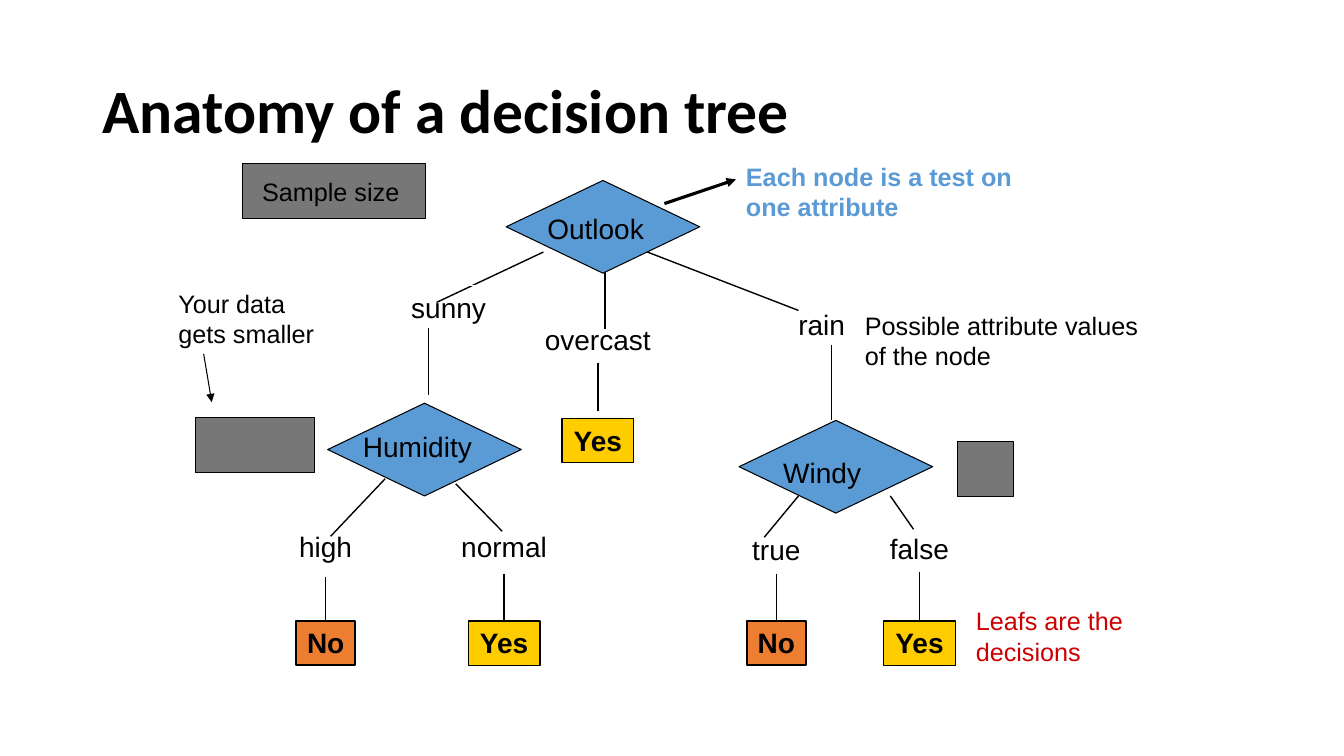
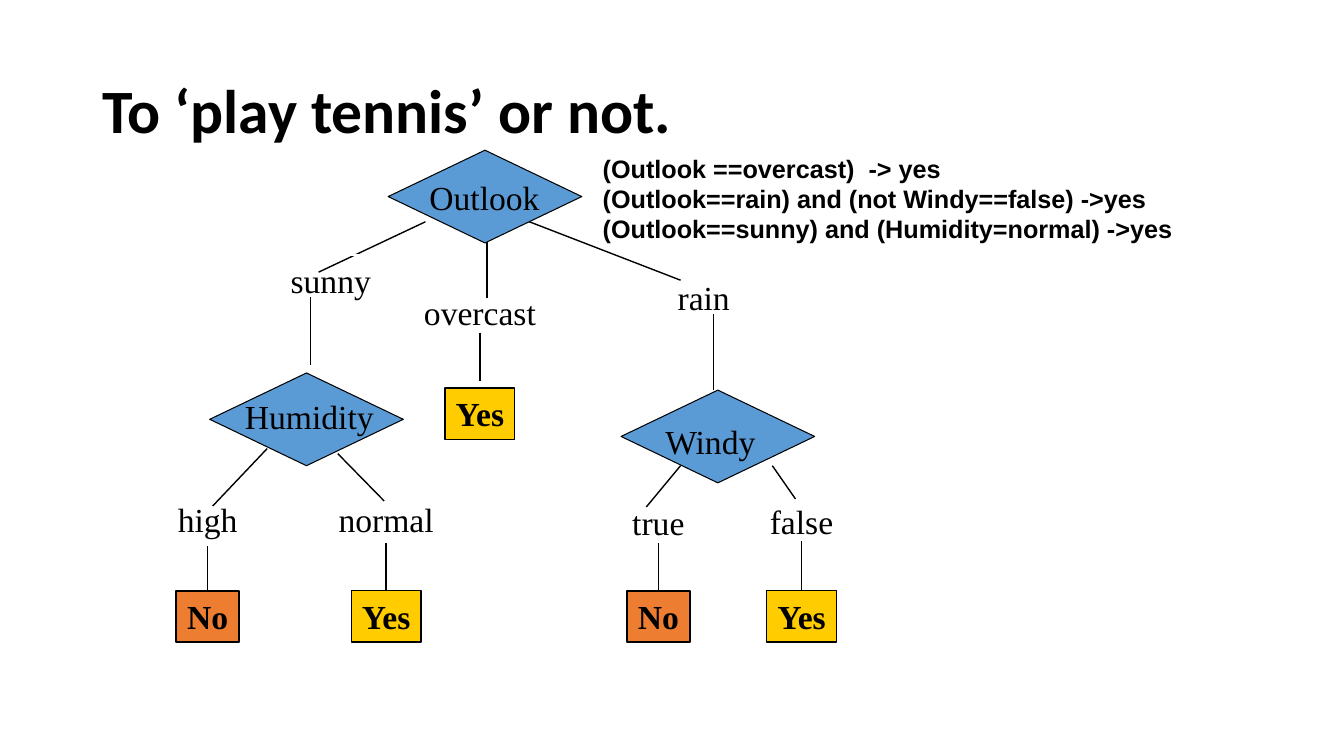
"""Build two slides that draw the same decision tree in two styles."""
from dataclasses import dataclass
from typing import NamedTuple, Optional

from lxml import etree
from pptx import Presentation
from pptx import util as u
from pptx.dml.color import RGBColor
from pptx.enum import shapes, text as t
from pptx.oxml import ns
from pptx.slide import Slide

COLORS = {
    "black": "000000", "white": "FFFFFF", "node": "5B9BD5", "sample": "777777",
    "no": "ED7D31", "yes": "FFCC00", "decision": "CC0000",
}
RECTANGLE = shapes.MSO_SHAPE.RECTANGLE
NODE_SIZE = (1.92, 0.92)


class Box(NamedTuple):
    left: float
    top: float
    width: float
    height: float


class Line(NamedTuple):
    x1: float
    y1: float
    x2: float
    y2: float


class Label(NamedTuple):
    text: str
    center: float
    top: float
    widths: tuple[float, float]
    outlined: bool = False


class Leaf(NamedTuple):
    answer: str
    center: float
    top: float


class Node(NamedTuple):
    text: str
    left: float
    top: float
    text_left: float
    text_middle: float
    widths: tuple[float, float]


@dataclass(frozen=True)
class TreeStyle:
    variant: int
    font: str
    size: int
    dx: float
    dy: float
    label_height: float
    node_text_height: float
    leaf_widths: dict[str, float]


BRANCHES = [
    Line(5.39, 2.5, 4.33, 3), Line(6, 2.67, 6, 3.26), Line(6.42, 2.5, 7.92, 3.08),
    Line(3.82, 4.75, 3.28, 5.32), Line(4.52, 4.8, 4.98, 5.27),
    Line(7.92, 4.92, 7.58, 5.33), Line(8.83, 4.92, 9.06, 5.25),
]
LEAF_STEMS = [(3.23, 5.72), (9.12, 5.67), (7.7, 5.69), (5, 5.69), (5.93, 3.6)]
LEAF_STEM_LENGTH = 0.48
NODE_STEMS = [Line(4.25, 3.25, 4.25, 3.92), Line(8.25, 3.42, 8.25, 4.17)]
LABELS = [
    Label("overcast", 5.93, 3.15, (1.26, 1.32)),
    Label("high", 3.23, 5.2, (0.73, 0.8)),
    Label("normal", 5, 5.2, (1.06, 1.16)),
    Label("false", 9.12, 5.22, (0.8, 0.84)),
    Label("true", 7.7, 5.23, (0.69, 0.73)),
    Label("sunny", 4.45, 2.83, (0.96, 1.01), True),
    Label("rain", 8.15, 3, (0.67, 0.73)),
]
LEAVES = [
    Leaf("No", 3.23, 6.16), Leaf("No", 7.7, 6.16), Leaf("Yes", 5, 6.16),
    Leaf("Yes", 9.12, 6.16), Leaf("Yes", 5.93, 4.15),
]
NODES = [
    Node("Outlook", 5.02, 1.79, 5.33, 2.26, (1.16, 1.29)),
    Node("Humidity", 3.25, 4, 3.5, 4.43, (1.28, 1.48)),
    Node("Windy", 7.33, 4.17, 7.67, 4.68, (0.97, 1.11)),
]
ANATOMY = TreeStyle(0, "Arial", 20, 0, 0, 0.44, 0.43, {"No": 0.59, "Yes": 0.71})
TENNIS = TreeStyle(1, "Times New Roman", 24, -1.17, -0.3, 0.51, 0.5,
                   {"No": 0.63, "Yes": 0.69})


def rgb(color: str) -> RGBColor:
    return RGBColor.from_string(COLORS[color])


def write(shape, text: str, *, font: str = "Arial", size: float = 18,
          color: str = "black", bold: bool = False, centered: bool = False,
          wrap: bool = False, grow: bool = True, middle: bool = False,
          spacing: Optional[float] = None) -> None:
    frame = shape.text_frame
    frame.word_wrap = wrap
    frame.auto_size = (t.MSO_AUTO_SIZE.SHAPE_TO_FIT_TEXT if grow
                       else t.MSO_AUTO_SIZE.NONE)
    frame.vertical_anchor = t.MSO_ANCHOR.MIDDLE if middle else t.MSO_ANCHOR.TOP
    frame.text = text
    for paragraph in frame.paragraphs:
        paragraph.alignment = t.PP_ALIGN.CENTER if centered else t.PP_ALIGN.LEFT
        if spacing:
            paragraph.line_spacing = spacing
        for run in paragraph.runs:
            run.font.name = font
            run.font.size = u.Pt(size)
            run.font.bold = bold
            run.font.color.rgb = rgb(color)


def add_text(slide: Slide, box: Box, text: str, **style) -> None:
    write(slide.shapes.add_textbox(*map(u.Inches, box)), text, **style)


def add_shape(slide: Slide, kind: shapes.MSO_SHAPE, box: Box,
              fill: Optional[str], line: str = "black", weight: float = 0.75):
    shape = slide.shapes.add_shape(kind, *map(u.Inches, box))
    shape.shadow.inherit = False
    if fill:
        shape.fill.solid()
        shape.fill.fore_color.rgb = rgb(fill)
    else:
        shape.fill.background()
    shape.line.color.rgb = rgb(line)
    shape.line.width = u.Pt(weight)
    return shape


def add_line(slide: Slide, line: Line, weight: float = 1, arrow: bool = False) -> None:
    connector = slide.shapes.add_connector(
        shapes.MSO_CONNECTOR.STRAIGHT, *map(u.Inches, line))
    connector.line.color.rgb = rgb("black")
    connector.line.width = u.Pt(weight)
    if arrow:
        outline = connector.line._get_or_add_ln()
        etree.SubElement(outline, ns.qn("a:tailEnd"), type="triangle")
    etree.SubElement(connector._element.spPr, ns.qn("a:effectLst"))


def add_titled_slide(presentation, title: str) -> Slide:
    slide = presentation.slides.add_slide(presentation.slide_layouts[6])
    add_text(slide, Box(0.92, 0.4, 11.5, 1.45), title, font="Calibri", size=44,
             bold=True, wrap=True, grow=False, middle=True, spacing=0.9)
    return slide


def draw_tree(slide: Slide, style: TreeStyle) -> None:
    letters = {"font": style.font, "size": style.size}

    def moved(line: Line) -> Line:
        return Line(line.x1 + style.dx, line.y1 + style.dy,
                    line.x2 + style.dx, line.y2 + style.dy)

    def centered_box(center: float, top: float, width: float) -> Box:
        return Box(center + style.dx - width / 2, top + style.dy,
                   width, style.label_height)

    for branch in BRANCHES:
        add_line(slide, moved(branch))
    for label in LABELS:
        box = centered_box(label.center, label.top, label.widths[style.variant])
        if label.outlined:
            shape = add_shape(slide, RECTANGLE, box, None, "white", 1)
            write(shape, label.text, centered=True, **letters)
        else:
            add_text(slide, box, label.text, centered=True, **letters)
    for x, top in LEAF_STEMS:
        add_line(slide, moved(Line(x, top, x, top + LEAF_STEM_LENGTH)))
    for leaf in LEAVES:
        box = centered_box(leaf.center, leaf.top, style.leaf_widths[leaf.answer])
        weight = 1.5 if leaf.answer == "No" else 1
        shape = add_shape(slide, RECTANGLE, box, leaf.answer.lower(), weight=weight)
        write(shape, leaf.answer, bold=True, centered=True, **letters)
    for node in NODES:
        add_shape(slide, shapes.MSO_SHAPE.DIAMOND,
                  Box(node.left + style.dx, node.top + style.dy, *NODE_SIZE), "node")
        height = style.node_text_height
        box = Box(node.text_left + style.dx, node.text_middle + style.dy - height / 2,
                  node.widths[style.variant], height)
        add_text(slide, box, node.text, **letters)
    for stem in NODE_STEMS:
        add_line(slide, moved(stem), 0.75)


def annotate_anatomy(slide: Slide) -> None:
    add_line(slide, Line(6.59, 2.02, 7.3, 1.78), 2.25, arrow=True)
    add_text(slide, Box(7.3, 1.55, 2.91, 0.7),
             "Each node is a test on\none attribute", color="node", bold=True)
    add_text(slide, Box(8.48, 3.03, 2.98, 0.7),
             "Possible attribute values\nof the node")
    add_text(slide, Box(9.58, 5.96, 2.2, 0.7), "Leafs are the decisions",
             color="decision", wrap=True)
    legend = add_shape(slide, RECTANGLE, Box(2.41, 1.62, 1.81, 0.55), "sample")
    write(legend, "Sample size ", centered=True, grow=False, middle=True)
    for box in (Box(1.94, 4.14, 1.18, 0.55), Box(9.5, 4.38, 0.55, 0.55)):
        add_shape(slide, RECTANGLE, box, "sample")
    add_line(slide, Line(2.02, 3.51, 2.1, 3.99), 0.75, arrow=True)
    add_text(slide, Box(1.67, 2.81, 1.55, 0.7), "Your data\ngets smaller")


def main() -> None:
    presentation = Presentation()
    presentation.slide_width = u.Inches(13.33)
    presentation.slide_height = u.Inches(7.5)

    anatomy = add_titled_slide(presentation, "Anatomy of a decision tree")
    draw_tree(anatomy, ANATOMY)
    annotate_anatomy(anatomy)

    tennis = add_titled_slide(presentation, "To ‘play tennis’ or not.")
    draw_tree(tennis, TENNIS)
    add_text(tennis, Box(5.88, 1.47, 6, 1),
             "(Outlook ==overcast)  -> yes\n"
             "(Outlook==rain) and (not Windy==false) ->yes\n"
             "(Outlook==sunny) and (Humidity=normal) ->yes", bold=True, wrap=True)
    presentation.save("out.pptx")


if __name__ == "__main__":
    main()
